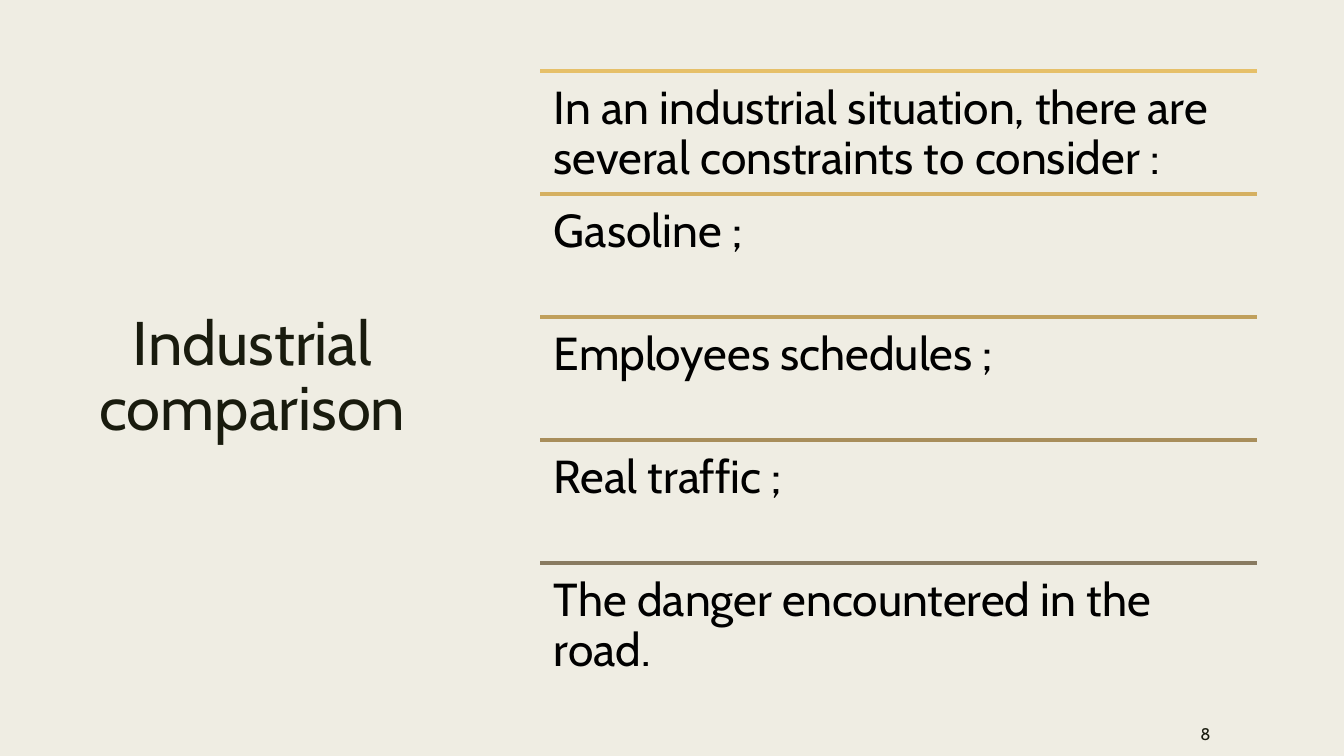
from dataclasses import dataclass

from lxml.etree import SubElement
from pptx import Presentation
from pptx.dml.color import RGBColor
from pptx.enum.shapes import MSO_CONNECTOR
from pptx.enum.text import MSO_ANCHOR, MSO_AUTO_SIZE, PP_ALIGN
from pptx.oxml.ns import qn
from pptx.util import Cm, Pt


@dataclass(frozen=True)
class Theme:
    font: str = "Cabin"
    background: str = "EFEDE3"
    heading: str = "191B0E"
    body: str = "000000"
    rules: tuple = ("E6C069", "D5B061", "C0A05C", "A88E5B", "897B61")
    heading_size: int = 44
    body_size: int = 33
    number_size: int = 12
    rule_width: float = 2.75


THEME = Theme()
CONSTRAINTS = (
    "In an industrial situation, there are several constraints to consider :",
    "Gasoline ;",
    "Employees schedules ;",
    "Real traffic ;",
    "The danger encountered in the road.",
)


def write(frame, text, size, color, align, anchor, spacing=1.0):
    frame.word_wrap = True
    frame.auto_size = MSO_AUTO_SIZE.NONE
    frame.vertical_anchor = anchor
    frame.text = text
    paragraph = frame.paragraphs[0]
    paragraph.alignment = align
    paragraph.line_spacing = spacing
    paragraph.font.name = THEME.font
    paragraph.font.size = Pt(size)
    paragraph.font.color.rgb = RGBColor.from_string(color)


def place_heading(slide, left, top, width, height):
    heading = slide.shapes.title
    heading.left, heading.top = left, top
    heading.width, heading.height = width, height
    write(heading.text_frame, "Industrial comparison", THEME.heading_size,
          THEME.heading, PP_ALIGN.CENTER, MSO_ANCHOR.MIDDLE, 0.89)


def draw_rule(slide, left, top, width, color):
    rule = slide.shapes.add_connector(
        MSO_CONNECTOR.STRAIGHT, left, top, left + width, top)
    rule.line.color.rgb = RGBColor.from_string(color)
    rule.line.width = Pt(THEME.rule_width)
    SubElement(rule._element.spPr, qn("a:effectLst"))


def place_constraints(slide, left, top, width, height):
    row_height = height // len(CONSTRAINTS)
    for row, (constraint, color) in enumerate(zip(CONSTRAINTS, THEME.rules)):
        row_top = top + row * row_height
        draw_rule(slide, left, row_top, width, color)
        frame = slide.shapes.add_textbox(
            left, row_top, width, row_height).text_frame
        frame.margin_left = frame.margin_right = Cm(0.35)
        frame.margin_top = frame.margin_bottom = Cm(0.35)
        write(frame, constraint, THEME.body_size, THEME.body,
              PP_ALIGN.LEFT, MSO_ANCHOR.TOP, 0.9)


def place_page_number(slide, left, top, width, height):
    number = slide.shapes.add_textbox(left, top, width, height)
    write(number.text_frame, "8", THEME.number_size, THEME.heading,
          PP_ALIGN.RIGHT, MSO_ANCHOR.MIDDLE)


def build_slide(presentation):
    slide = presentation.slides.add_slide(presentation.slide_layouts[5])
    fill = slide.background.fill
    fill.solid()
    fill.fore_color.rgb = RGBColor.from_string(THEME.background)
    place_heading(slide, Cm(1.78), Cm(1.78), Cm(9.17), Cm(15.5))
    place_constraints(slide, Cm(13.61), Cm(1.78), Cm(18.08), Cm(15.5))
    place_page_number(slide, Cm(26.31), Cm(17.93), Cm(4.45), Cm(1.12))


presentation = Presentation()
presentation.slide_width, presentation.slide_height = Cm(33.87), Cm(19.05)
build_slide(presentation)
presentation.save("out.pptx")
